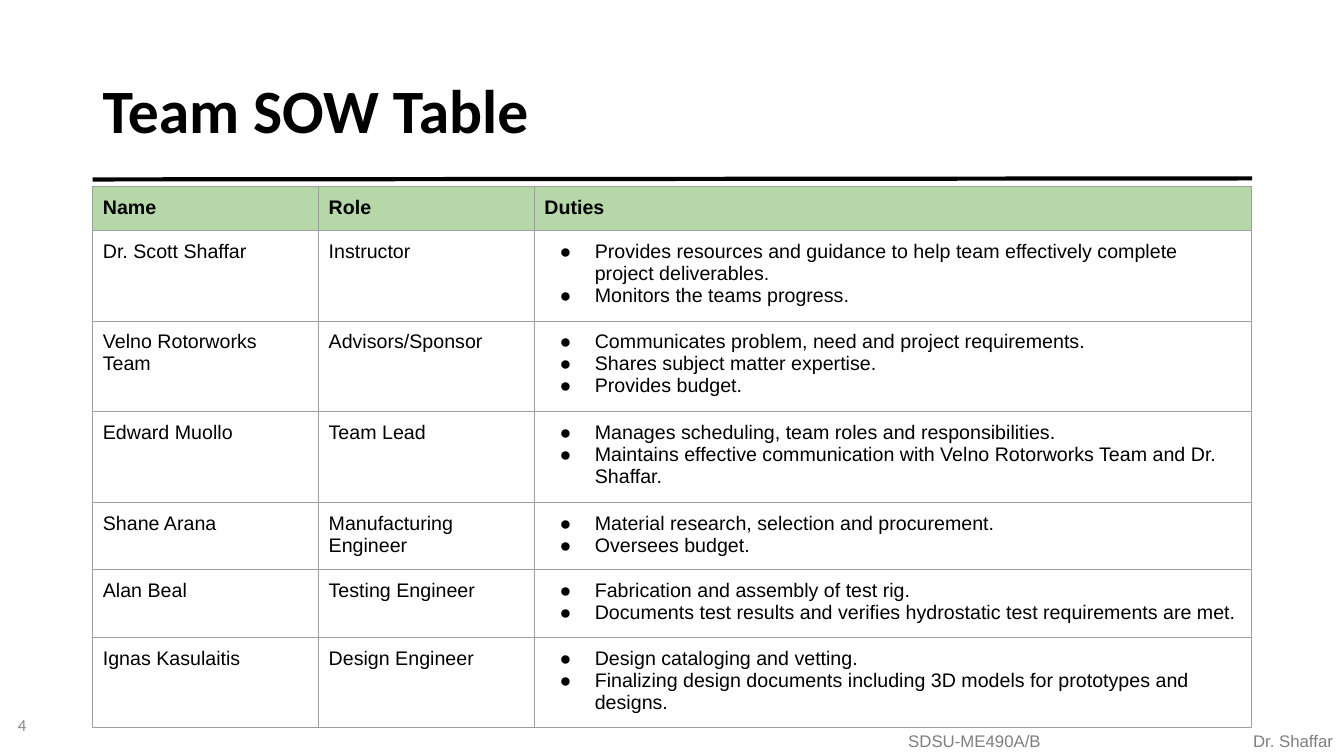
from lxml import etree
from pptx import Presentation
from pptx.dml.color import RGBColor
from pptx.enum import shapes, text
from pptx.oxml import ns
from pptx.util import Inches, Pt

BLACK = "000000"
HEADER_GREEN = "B6D7A8"
BORDER_GRAY = "9E9E9E"
COLUMN_WIDTHS = [2.24, 2.14, 7.11]
HEADINGS = ["Name", "Role", "Duties"]
MEMBERS = [
    ("Dr. Scott Shaffar", "Instructor", [
        "Provides resources and guidance to help team effectively complete project deliverables.",
        "Monitors the teams progress."], 3),
    ("Velno Rotorworks Team", "Advisors/Sponsor", [
        "Communicates problem, need and project requirements.",
        "Shares subject matter expertise.",
        "Provides budget."], 3),
    ("Edward Muollo", "Team Lead", [
        "Manages scheduling, team roles and responsibilities.",
        "Maintains effective communication with Velno Rotorworks Team and Dr. Shaffar."], 3),
    ("Shane Arana", "Manufacturing Engineer", [
        "Material research, selection and procurement.",
        "Oversees budget."], 2),
    ("Alan Beal", "Testing Engineer", [
        "Fabrication and assembly of test rig.",
        "Documents test results and verifies hydrostatic test requirements are met."], 2),
    ("Ignas Kasulaitis", "Design Engineer", [
        "Design cataloging and vetting.",
        "Finalizing design documents including 3D models for prototypes and designs."], 3),
]


def color(value):
    return RGBColor.from_string(value)


def add_child(parent, tag, **attributes):
    return etree.SubElement(parent, ns.qn(tag), attributes)


def add_solid_fill(parent, value):
    add_child(add_child(parent, "a:solidFill"), "a:srgbClr", val=value)


def write_text(frame, lines, size=14, font="Arial", fill=BLACK, bold=False,
               align=text.PP_ALIGN.LEFT, spacing=None, bulleted=False):
    for index, line in enumerate(lines):
        paragraph = frame.add_paragraph() if index else frame.paragraphs[0]
        paragraph.alignment = align
        if spacing:
            paragraph.line_spacing = spacing
        if bulleted:
            add_bullet(paragraph)
        run = paragraph.add_run()
        run.text = line
        run.font.size = Pt(size)
        run.font.name = font
        run.font.bold = bold
        run.font.color.rgb = color(fill)


def add_bullet(paragraph):
    properties = paragraph._p.get_or_add_pPr()
    properties.set("marL", str(Inches(0.5)))
    properties.set("indent", str(Inches(-0.35)))
    add_child(add_child(properties, "a:buClr"), "a:srgbClr", val=BLACK)
    add_child(properties, "a:buFont", typeface="Arial")
    add_child(properties, "a:buChar", char="●")


def add_text_box(slide, left, top, width, height, line,
                 anchor=text.MSO_ANCHOR.TOP, **style):
    frame = slide.shapes.add_textbox(
        Inches(left), Inches(top), Inches(width), Inches(height)).text_frame
    frame.word_wrap = True
    frame.vertical_anchor = anchor
    write_text(frame, [line], **style)


def add_rule(slide):
    connector = slide.shapes.add_connector(
        shapes.MSO_CONNECTOR.STRAIGHT,
        Inches(0.92), Inches(1.78), Inches(12.42), Inches(1.77))
    connector.line.color.rgb = color(BLACK)
    connector.line.width = Pt(3)
    add_child(connector._element.spPr, "a:effectLst")


def fill_cell(cell, lines, background=None, **style):
    cell.margin_left = cell.margin_right = Inches(0.1)
    cell.margin_top = cell.margin_bottom = Inches(0.1)
    write_text(cell.text_frame, lines, **style)
    properties = cell._tc.get_or_add_tcPr()
    for side in ("a:lnL", "a:lnR", "a:lnT", "a:lnB"):
        add_solid_fill(add_child(properties, side, w=str(Pt(0.75))), BORDER_GRAY)
    if background:
        cell.fill.solid()
        cell.fill.fore_color.rgb = color(background)
    else:
        cell.fill.background()


def add_team_table(slide):
    heights = [0.42] + [0.2 + 0.22 * member[3] for member in MEMBERS]
    table = slide.shapes.add_table(
        len(heights), len(COLUMN_WIDTHS), Inches(0.92), Inches(1.85),
        Inches(sum(COLUMN_WIDTHS)), Inches(sum(heights))).table
    table.horz_banding = False
    for column, width in zip(table.columns, COLUMN_WIDTHS):
        column.width = Inches(width)
    for row, height in zip(table.rows, heights):
        row.height = Inches(height)
    for column, heading in enumerate(HEADINGS):
        fill_cell(table.cell(0, column), [heading], HEADER_GREEN, bold=True)
    for row, (name, role, duties, _) in enumerate(MEMBERS, 1):
        fill_cell(table.cell(row, 0), [name])
        fill_cell(table.cell(row, 1), [role])
        fill_cell(table.cell(row, 2), duties, bulleted=True)


def main():
    presentation = Presentation()
    presentation.slide_width = Inches(13.33)
    presentation.slide_height = Inches(7.5)
    slide = presentation.slides.add_slide(presentation.slide_layouts[6])
    add_text_box(slide, 8.91, 7.2, 2, 0.3, "SDSU-ME490A/B", size=12, fill="7F7F7F")
    add_text_box(slide, 11.32, 7.2, 2, 0.3, "Dr. Shaffar", size=12, fill="7F7F7F",
                 align=text.PP_ALIGN.RIGHT)
    add_text_box(slide, 0.08, 6.99, 3, 0.4, "4", anchor=text.MSO_ANCHOR.MIDDLE,
                 size=12, font="Calibri", fill="888888")
    add_rule(slide)
    add_text_box(slide, 0.92, 0.4, 11.5, 1.45, "Team SOW Table",
                 anchor=text.MSO_ANCHOR.MIDDLE, size=44, font="Calibri",
                 bold=True, spacing=0.9)
    add_team_table(slide)
    presentation.save("out.pptx")


if __name__ == "__main__":
    main()
